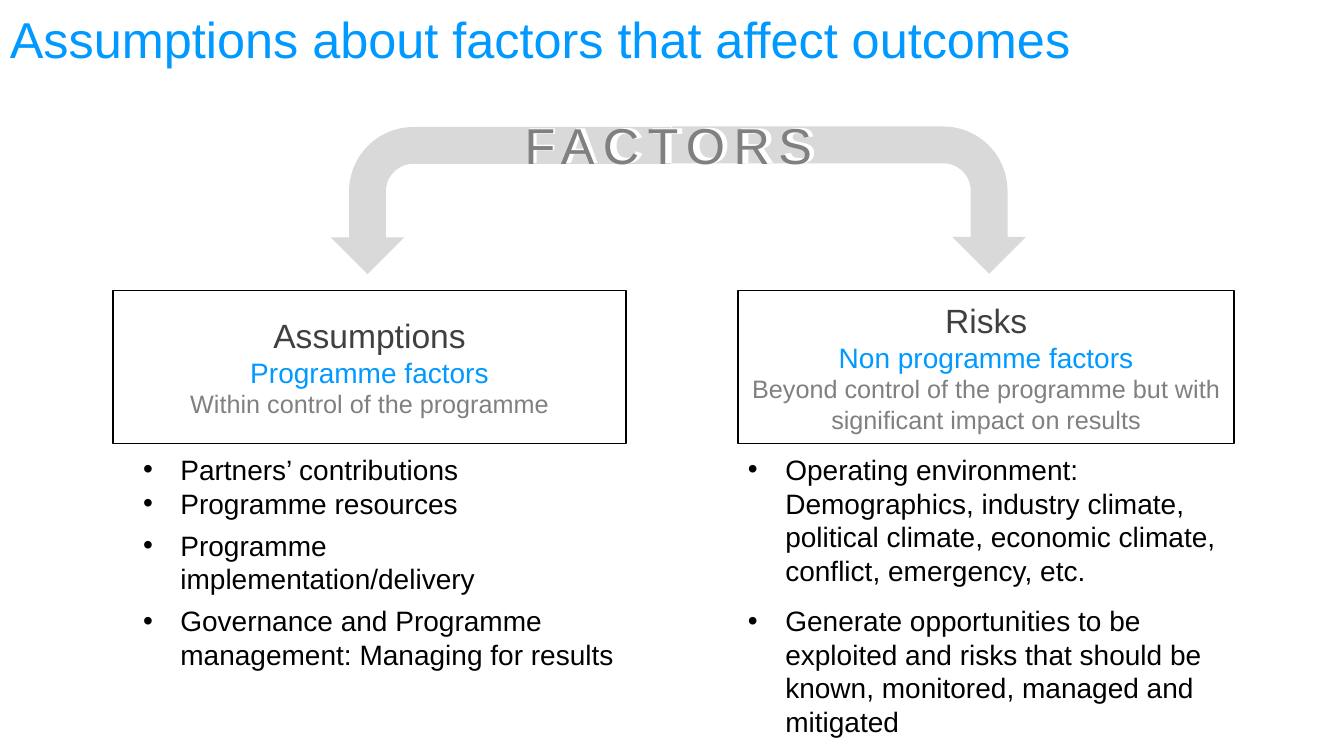
from dataclasses import dataclass

from lxml import etree
from pptx import Presentation
from pptx.dml.color import RGBColor
from pptx.enum.shapes import MSO_SHAPE
from pptx.enum.text import MSO_ANCHOR, PP_ALIGN
from pptx.oxml.ns import qn
from pptx.util import Inches, Pt

RECTANGLE, BENT_ARROW = MSO_SHAPE.RECTANGLE, MSO_SHAPE.BENT_ARROW
TOP, MIDDLE = MSO_ANCHOR.TOP, MSO_ANCHOR.MIDDLE
LEFT, CENTER = PP_ALIGN.LEFT, PP_ALIGN.CENTER

BLACK = RGBColor(0x00, 0x00, 0x00)
WHITE = RGBColor(0xFF, 0xFF, 0xFF)
BLUE = RGBColor(0x00, 0x99, 0xFF)
DARK_GRAY = RGBColor(0x40, 0x40, 0x40)
GRAY = RGBColor(0x80, 0x80, 0x80)
LIGHT_GRAY = RGBColor(0xD9, 0xD9, 0xD9)

FONT = "Arial"
BULLET_INDENT = Inches(0.37)
BOX_TOP, BOX_HEIGHT, LIST_TOP = 2.88, 1.52, 4.44


@dataclass(frozen=True)
class Line:
    text: str
    size: float
    color: RGBColor
    align: PP_ALIGN = LEFT
    bold: bool = False
    spacing: float = 0
    line_spacing: float = 1.0
    space_before: float = 0
    bullet: bool = False


@dataclass(frozen=True)
class Factor:
    left: float
    width: float
    heading: tuple[str, str, str]
    list_left: float
    list_width: float
    list_height: float
    points: tuple[str, ...]
    gaps: tuple[float, ...]


@dataclass(frozen=True)
class Arrow:
    left: float
    top: float
    width: float
    height: float
    flipped: bool


FACTORS = (
    Factor(1.12, 5.09,
           ("Assumptions", "Programme factors", "Within control of the programme"),
           1.32, 4.89, 2.37,
           ("Partners’ contributions", "Programme resources",
            "Programme implementation/delivery",
            "Governance and Programme management: Managing for results"),
           (0, 0, 6, 6)),
    Factor(7.32, 4.92,
           ("Risks", "Non programme factors",
            "Beyond control of the programme but with significant impact on results"),
           7.32, 4.92, 2.96,
           ("Operating environment: Demographics, industry climate, political climate, "
            "economic climate, conflict, emergency, etc.",
            "Generate opportunities to be exploited and risks that should be known, "
            "monitored, managed and mitigated"),
           (0, 12)),
)
ARROWS = (Arrow(7.69, 0.23, 1.46, 3.51, False), Arrow(4.24, 0.3, 1.46, 3.38, True))
HEADING_STYLES = ((24, DARK_GRAY), (20, BLUE), (18, GRAY))


def fill_text(tf, lines: list[Line], anchor: MSO_ANCHOR) -> None:
    tf.word_wrap = True
    tf.vertical_anchor = anchor
    for i, line in enumerate(lines):
        p = tf.paragraphs[0] if i == 0 else tf.add_paragraph()
        if line.bullet:
            pPr = p._p.get_or_add_pPr()
            pPr.set("marL", str(BULLET_INDENT))
            pPr.set("indent", str(-BULLET_INDENT))
            etree.SubElement(pPr, qn("a:buFont")).set("typeface", FONT)
            etree.SubElement(pPr, qn("a:buChar")).set("char", "•")
        layout = {"alignment": line.align, "line_spacing": line.line_spacing,
                  "space_before": Pt(line.space_before)}
        for name, value in layout.items():
            setattr(p, name, value)
        r = p.add_run()
        r.text = line.text
        formats = {"name": FONT, "size": Pt(line.size), "bold": line.bold}
        for name, value in formats.items():
            setattr(r.font, name, value)
        r.font.color.rgb = line.color
        if line.spacing:
            r._r.get_or_add_rPr().set("spc", str(int(line.spacing * 100)))


def add_text(s, left: float, top: float, width: float, height: float,
             lines: list[Line], anchor: MSO_ANCHOR = TOP) -> None:
    sp = s.shapes.add_textbox(Inches(left), Inches(top), Inches(width), Inches(height))
    fill_text(sp.text_frame, lines, anchor)


def add_factor(s, factor: Factor) -> None:
    # Heading box
    sp = s.shapes.add_shape(RECTANGLE, Inches(factor.left), Inches(BOX_TOP),
                            Inches(factor.width), Inches(BOX_HEIGHT))
    sp.shadow.inherit = False
    sp.fill.background()
    sp.line.color.rgb = BLACK
    sp.line.width = Pt(1)
    heading = [Line(text, size, color, CENTER)
               for text, (size, color) in zip(factor.heading, HEADING_STYLES)]
    fill_text(sp.text_frame, heading, MIDDLE)
    # Bulleted list below it
    points = [Line(text, 20, BLACK, space_before=gap, bullet=True)
              for text, gap in zip(factor.points, factor.gaps)]
    add_text(s, factor.list_left, LIST_TOP, factor.list_width, factor.list_height, points)


def add_arrow(s, arrow: Arrow) -> None:
    sp = s.shapes.add_shape(BENT_ARROW, Inches(arrow.left), Inches(arrow.top),
                            Inches(arrow.width), Inches(arrow.height))
    sp.shadow.inherit = False
    sp.rotation = 90
    sp.fill.solid()
    sp.fill.fore_color.rgb = LIGHT_GRAY
    sp.line.fill.background()
    if arrow.flipped:
        sp._element.spPr.find(qn("a:xfrm")).set("flipV", "1")


def main() -> None:
    prs = Presentation()
    prs.slide_width, prs.slide_height = Inches(13.33), Inches(7.5)
    s = prs.slides.add_slide(prs.slide_layouts[6])

    # Title
    add_text(s, 0, 0, 13.33, 0.84,
             [Line("Assumptions about factors that affect outcomes", 36, BLUE,
                   line_spacing=0.9)], MIDDLE)

    # Two kinds of factors
    for factor in FACTORS:
        add_factor(s, factor)

    # Branching arrows with a highlighted label
    for arrow in ARROWS:
        add_arrow(s, arrow)
    for left, top, color, bold in ((4.63, 1.07, WHITE, True), (4.6, 1.08, GRAY, False)):
        add_text(s, left, top, 4.06, 0.71,
                 [Line("FACTORS", 36, color, CENTER, bold, spacing=6)])

    prs.save("out.pptx")


if __name__ == "__main__":
    main()
